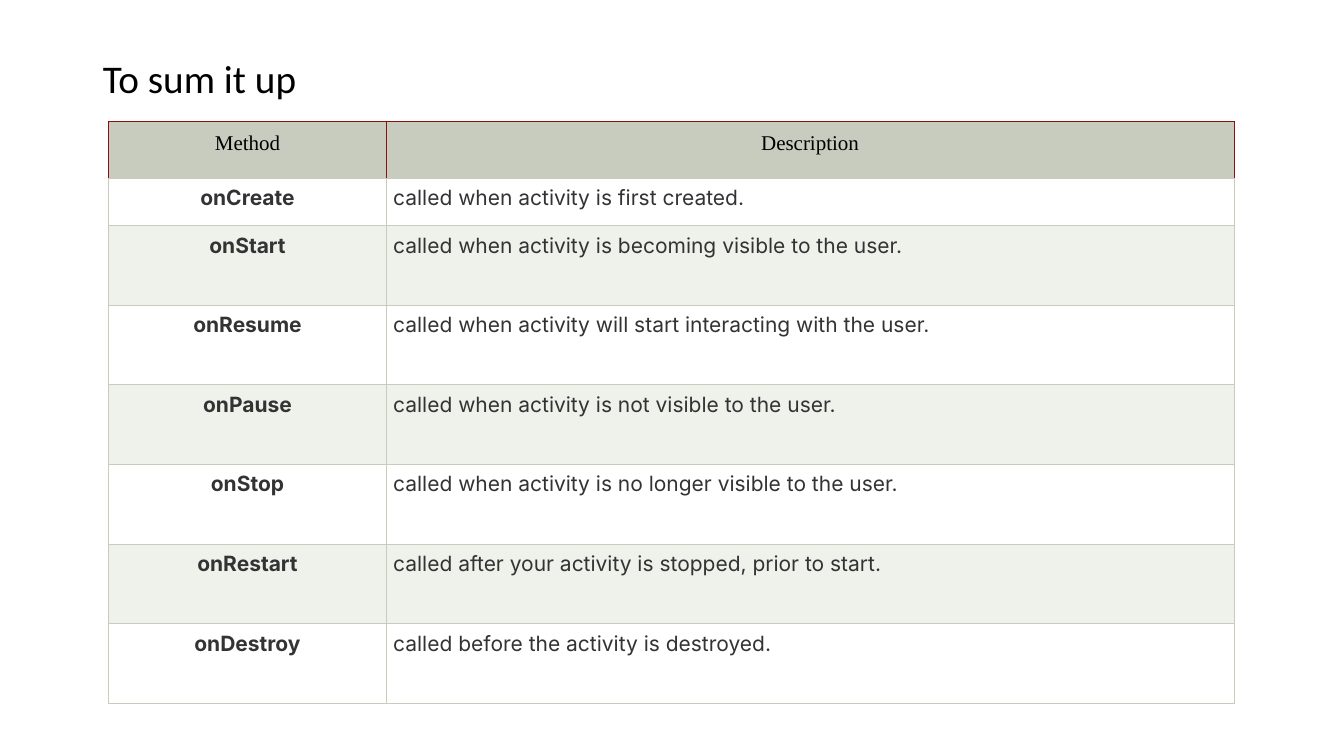
"""Build a slide that sums up the activity lifecycle methods in a table."""
from dataclasses import dataclass

from lxml.etree import SubElement
from pptx import Presentation
from pptx.dml.color import RGBColor
from pptx.enum.text import MSO_ANCHOR, PP_ALIGN
from pptx.oxml.ns import qn
from pptx.slide import Slide
from pptx.table import _Cell
from pptx.text.text import _Paragraph
from pptx.util import Inches, Pt


@dataclass(frozen=True)
class Theme:
    ink: str = "000000"
    body: str = "333333"
    head: str = "C7CCBE"
    edge: str = "900D0E"
    plain: str = "FFFFFF"
    band: str = "EFF1EB"
    title_pt: float = 28
    cell_pt: float = 15
    line_pt: float = 0.75


@dataclass(frozen=True)
class Style:
    font: str
    size: float
    color: str
    bold: bool = False
    align: PP_ALIGN = PP_ALIGN.CENTER


@dataclass(frozen=True)
class Row:
    name: str
    note: str
    height: float = 0.79


THEME = Theme()
TITLE = Style("Calibri", THEME.title_pt, THEME.ink, align=PP_ALIGN.LEFT)
HEAD = Style("Times New Roman", THEME.cell_pt, THEME.ink)
NAME = Style("Inter", THEME.cell_pt, THEME.body, bold=True)
NOTE = Style("Inter", THEME.cell_pt, THEME.body, align=PP_ALIGN.JUSTIFY)
WIDTHS = (2.75, 8.41)
ROWS = (
    Row("Method", "Description", 0.57),
    Row("onCreate", "called when activity is first created.", 0.47),
    Row("onStart", "called when activity is becoming visible to the user."),
    Row("onResume", "called when activity will start interacting with the user."),
    Row("onPause", "called when activity is not visible to the user."),
    Row("onStop", "called when activity is no longer visible to the user."),
    Row("onRestart", "called after your activity is stopped, prior to start."),
    Row("onDestroy", "called before the activity is destroyed."),
)


def format_text(para: _Paragraph, style: Style) -> None:
    para.alignment = style.align
    for run in para.runs:
        run.font.name = style.font
        run.font.size = Pt(style.size)
        run.font.bold = style.bold
        run.font.color.rgb = RGBColor.from_string(style.color)


def draw_edges(cell: _Cell, side: str, base: str) -> None:
    props = cell._tc.get_or_add_tcPr()
    for tag, color in zip("LRTB", (side, side, side, base)):
        line = SubElement(props, qn(f"a:ln{tag}"), w=str(Pt(THEME.line_pt)))
        fill = SubElement(line, qn("a:solidFill"))
        SubElement(fill, qn("a:srgbClr"), val=color)


def draw_cell(cell: _Cell, text: str, style: Style, fill: str, side: str, inset: float) -> None:
    cell.text_frame.text = text
    format_text(cell.text_frame.paragraphs[0], style)
    cell.margin_left = cell.margin_right = Inches(inset)
    cell.margin_top = cell.margin_bottom = Inches(inset)
    draw_edges(cell, side, THEME.head)
    cell.fill.solid()
    cell.fill.fore_color.rgb = RGBColor.from_string(fill)


def draw_title(slide: Slide, text: str) -> None:
    title = slide.shapes.title
    title.left, title.top = Inches(0.92), Inches(0.4)
    title.width, title.height = Inches(11.5), Inches(0.8)
    frame = title.text_frame
    frame.text = text
    frame.vertical_anchor = MSO_ANCHOR.MIDDLE
    frame.paragraphs[0].line_spacing = 0.9
    format_text(frame.paragraphs[0], TITLE)


def draw_table(slide: Slide) -> None:
    height = sum(row.height for row in ROWS)
    table = slide.shapes.add_table(
        len(ROWS), len(WIDTHS), Inches(1.08), Inches(1.2),
        Inches(sum(WIDTHS)), Inches(height),
    ).table
    for column, width in zip(table.columns, WIDTHS):
        column.width = Inches(width)
    for index, row in enumerate(ROWS):
        table.rows[index].height = Inches(row.height)
        if index == 0:
            styles, fill, side, inset = (HEAD, HEAD), THEME.head, THEME.edge, 0.11
        else:
            fill = THEME.plain if index % 2 else THEME.band
            styles, side, inset = (NAME, NOTE), THEME.head, 0.07
        for cell, text, style in zip(table.rows[index].cells, (row.name, row.note), styles):
            draw_cell(cell, text, style, fill, side, inset)


def main() -> None:
    deck = Presentation()
    deck.slide_width, deck.slide_height = Inches(13.33), Inches(7.5)
    slide = deck.slides.add_slide(deck.slide_layouts[5])
    draw_title(slide, "To sum it up")
    draw_table(slide)
    deck.save("out.pptx")


if __name__ == "__main__":
    main()
